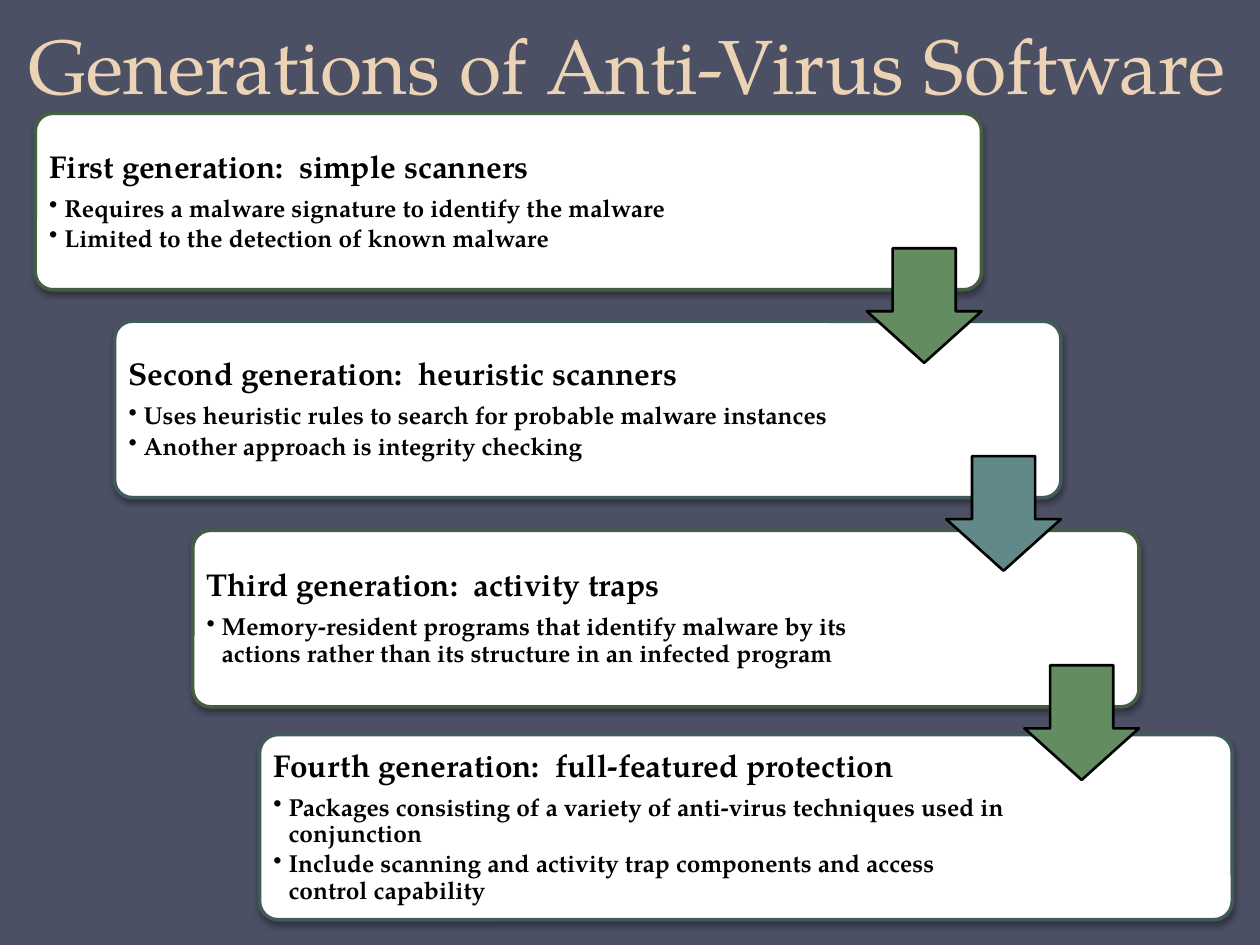
from lxml import etree
from pptx import Presentation
from pptx.dml.color import RGBColor
from pptx.enum.shapes import MSO_SHAPE
from pptx.enum.text import MSO_ANCHOR, PP_ALIGN
from pptx.oxml.ns import qn
from pptx.util import Inches, Pt

ROUNDED = MSO_SHAPE.ROUNDED_RECTANGLE
DOWN_ARROW = MSO_SHAPE.DOWN_ARROW
MIDDLE, BOTTOM = MSO_ANCHOR.MIDDLE, MSO_ANCHOR.BOTTOM
LEFT, CENTER = PP_ALIGN.LEFT, PP_ALIGN.CENTER
FONT = "TeX Gyre Pagella"
COLORS = {
    "background": "4B5064", "title": "EDD3B6", "panel": "FFFFFF", "text": "000000",
    "green": "648C61", "green_edge": "435E40", "teal": "61898A", "teal_edge": "415B5C",
}
HEADING = {"size": Pt(18), "bold": True, "name": FONT}
BULLET = {"size": Pt(14), "bold": True, "name": FONT}
TITLE = {"size": Pt(44), "name": FONT}
ARROW_SIZE = 0.91

GENERATIONS = [
    {"box": (0.28, 0.9, 7.51, 1.4), "text_width": 5.88, "tone": "green",
     "heading": "First generation:  simple scanners",
     "bullets": ["Requires a malware signature to identify the malware",
                 "Limited to the detection of known malware"]},
    {"box": (0.91, 2.55, 7.51, 1.4), "text_width": 5.89, "tone": "teal",
     "heading": "Second generation:  heuristic scanners",
     "bullets": ["Uses heuristic rules to search for probable malware instances",
                 "Another approach is integrity checking"]},
    {"box": (1.53, 4.21, 7.51, 1.4), "text_width": 5.9, "tone": "green",
     "heading": "Third generation:  activity traps",
     "bullets": ["Memory-resident programs that identify malware by its actions "
                 "rather than its structure in an infected program"]},
    {"box": (2.06, 5.83, 7.72, 1.47), "text_width": 6.05, "tone": "teal",
     "heading": "Fourth generation:  full-featured protection",
     "bullets": ["Packages consisting of a variety of anti-virus techniques used in conjunction",
                 "Include scanning and activity trap components and access control capability"]},
]


def color(name):
    return RGBColor.from_string(COLORS[name])


def set_values(target, values):
    for name, value in values.items():
        setattr(target, name, value)


def add_block(page, kind, box, fill, edge, width, adjustments):
    block = page.shapes.add_shape(kind, *map(Inches, box))
    block.shadow.inherit = False
    block.fill.solid()
    block.fill.fore_color.rgb = color(fill)
    block.line.color.rgb = color(edge)
    block.line.width = Pt(width)
    for index, value in enumerate(adjustments):
        block.adjustments[index] = value
    return block


def add_shadow(block):
    effects = block.element.spPr.find(qn("a:effectLst"))
    shadow = etree.SubElement(effects, qn("a:outerShdw"), blurRad=str(Pt(3.1)),
                              dist=str(Pt(1.8)), dir="5400000", rotWithShape="0")
    tint = etree.SubElement(shadow, qn("a:srgbClr"), val=COLORS["text"])
    etree.SubElement(tint, qn("a:alpha"), val="35000")


def add_frame(page, box, anchor, inset):
    frame = page.shapes.add_textbox(*map(Inches, box)).text_frame
    margins = dict.fromkeys(("margin_left", "margin_top", "margin_right", "margin_bottom"),
                            Inches(inset))
    set_values(frame, {"word_wrap": True, "vertical_anchor": anchor, **margins})
    return frame


def write(para, text, tint, font, layout):
    span = para.add_run()
    span.text = text
    set_values(span.font, font)
    span.font.color.rgb = color(tint)
    set_values(para, layout)


def add_bullet(para):
    properties = para._p.get_or_add_pPr()
    properties.set("marL", str(Inches(0.12)))
    properties.set("indent", str(Inches(-0.12)))
    etree.SubElement(properties, qn("a:buChar"), char="•")


def add_title(page, box):
    frame = add_frame(page, box, BOTTOM, 0.05)
    write(frame.paragraphs[0], "Generations of Anti-Virus Software", "title", TITLE,
          {"alignment": CENTER, "line_spacing": Pt(58)})


def add_generation(page, box, generation):
    left, top, width, height = box
    panel = add_block(page, ROUNDED, box, "panel", generation["tone"] + "_edge", 2, [0.1])
    add_shadow(panel)
    text_box = (left + 0.04, top + 0.04, generation["text_width"], height - 0.08)
    frame = add_frame(page, text_box, MIDDLE, 0.07)
    write(frame.paragraphs[0], generation["heading"], "text", HEADING,
          {"alignment": LEFT, "line_spacing": 0.9, "space_after": Pt(6.3)})
    for text in generation["bullets"]:
        para = frame.add_paragraph()
        write(para, text, "text", BULLET,
              {"level": 1, "line_spacing": 0.9, "space_after": Pt(2.1)})
        add_bullet(para)


def add_arrow(page, box, tone):
    left, top, width, height = box
    arrow_box = (left + width - ARROW_SIZE, top + 1.07, ARROW_SIZE, ARROW_SIZE)
    add_block(page, DOWN_ARROW, arrow_box, tone, "text", 1.5, [0.55, 0.45])


deck = Presentation()
deck.slide_width, deck.slide_height = Inches(10), Inches(7.5)
page = deck.slides.add_slide(deck.slide_layouts[6])
page.background.fill.solid()
page.background.fill.fore_color.rgb = color("background")
add_title(page, (-0.02, 0, 10, 0.92))
for generation in GENERATIONS:
    add_generation(page, generation["box"], generation)
for generation in GENERATIONS[:-1]:
    add_arrow(page, generation["box"], generation["tone"])
deck.save("out.pptx")
